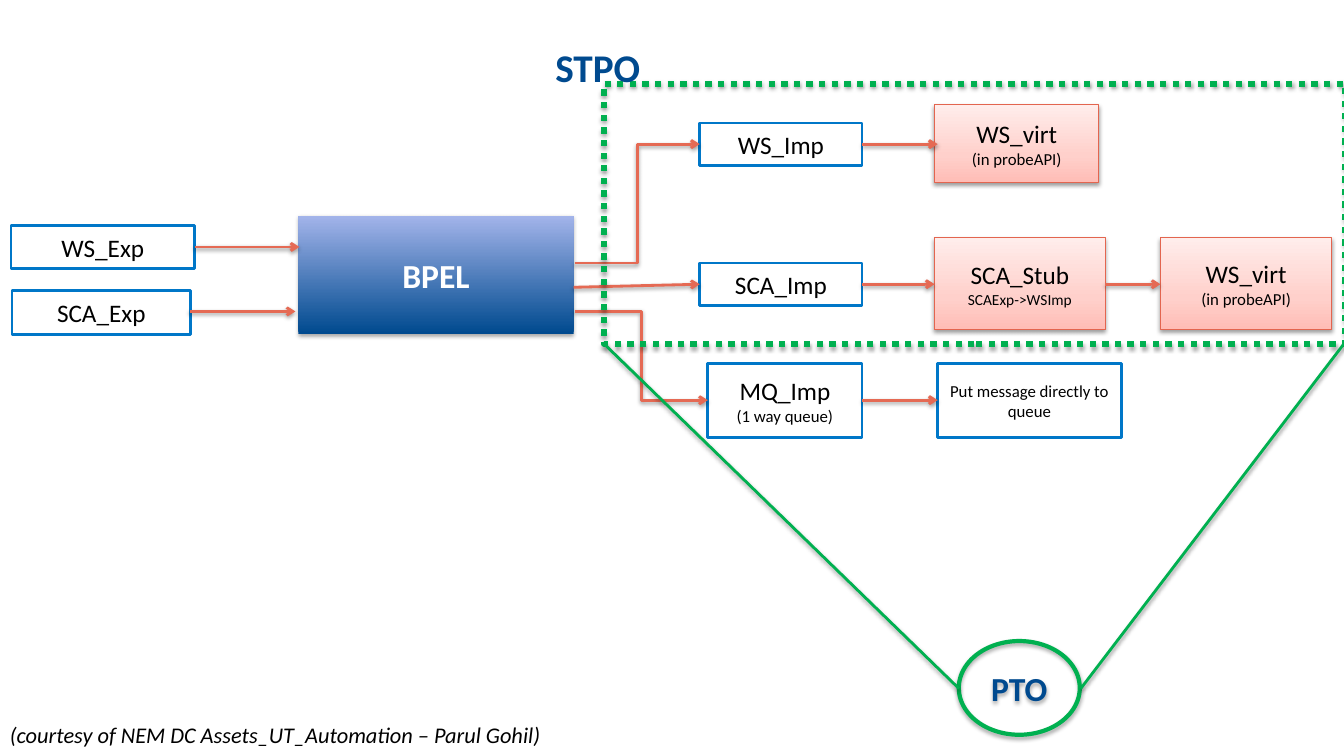
from dataclasses import dataclass

from lxml import etree
from pptx import Presentation
from pptx import util as u
from pptx.dml.color import RGBColor
from pptx.enum import dml, shapes, text
from pptx.oxml.ns import qn


@dataclass(frozen=True)
class Theme:
    font: str = "Calibri"
    black: str = "000000"
    white: str = "FFFFFF"
    navy: str = "004A8F"
    blue: str = "0077C8"
    coral: str = "E3654F"
    arrow: str = "E56A54"
    green: str = "00B050"
    pink_stops: tuple = ((0, "FFBDB6"), (35, "FFD0CB"), (100, "FFEDEB"))
    blue_stops: tuple = ((0, "004A8F"), (100, "A3B4EA"))
    title: int = 28
    heading: int = 24
    label: int = 18
    credit: int = 16
    detail: int = 12
    small: int = 11


theme = Theme()


def write(shape, *lines, color=theme.black, bold=False, italic=False,
          align=text.PP_ALIGN.CENTER, anchor=text.MSO_ANCHOR.MIDDLE):
    """Fill a shape with (words, size) lines, one paragraph each."""
    frame = shape.text_frame
    frame.word_wrap = True
    frame.vertical_anchor = anchor
    for index, (words, size) in enumerate(lines):
        paragraph = frame.add_paragraph() if index else frame.paragraphs[0]
        paragraph.alignment = align
        run = paragraph.add_run()
        run.text = words
        run.font.name = theme.font
        run.font.size = u.Pt(size)
        run.font.bold = bold
        run.font.italic = italic
        run.font.color.rgb = RGBColor.from_string(color)


def drop_shadow(item, opacity=38, distance=1.6):
    """Add a soft shadow below; call it once fill and line are set."""
    effects = etree.SubElement(item._element.spPr, qn("a:effectLst"))
    shadow = etree.SubElement(
        effects, qn("a:outerShdw"), blurRad=str(u.Pt(3.1)),
        dist=str(u.Pt(distance)), dir="5400000", rotWithShape="0")
    tint = etree.SubElement(shadow, qn("a:srgbClr"), val=theme.black)
    etree.SubElement(tint, qn("a:alpha"), val=str(opacity * 1000))


deck = Presentation()
deck.slide_width, deck.slide_height = u.Inches(13.33), u.Inches(7.5)
slide = deck.slides.add_slide(deck.slide_layouts[6])
canvas = slide.shapes

# Plain service boxes
services = [
    (0.11, 2.24, 1.82, 0.42, [("WS_Exp", theme.label)]),
    (0.12, 2.88, 1.77, 0.44, [("SCA_Exp", theme.label)]),
    (6.94, 1.22, 1.61, 0.42, [("WS_Imp", theme.label)]),
    (6.94, 2.61, 1.61, 0.42, [("SCA_Imp", theme.label)]),
    (7.02, 3.61, 1.53, 0.73,
     [("MQ_Imp", theme.label), ("(1 way queue)", theme.detail)]),
    (9.3, 3.61, 1.82, 0.73, [("Put message directly to queue", theme.detail)]),
]
for *place, lines in services:
    service = canvas.add_shape(shapes.MSO_SHAPE.RECTANGLE, *map(u.Inches, place))
    service.fill.background()
    service.line.color.rgb = RGBColor.from_string(theme.blue)
    service.line.width = u.Pt(2)
    service.shadow.inherit = False
    write(service, *lines)

# Shaded boxes: the virtual services and the central process
virtual = [("WS_virt", theme.label), ("(in probeAPI)", theme.detail)]
stub = [("SCA_Stub", theme.label), ("SCAExp->WSImp", theme.small)]
shaded = [
    (9.27, 1.04, 1.63, 0.77, virtual, theme.pink_stops),
    (9.27, 2.36, 1.69, 0.91, stub, theme.pink_stops),
    (11.51, 2.36, 1.7, 0.91, virtual, theme.pink_stops),
    (2.96, 2.14, 2.73, 1.17, [("BPEL", theme.heading)], theme.blue_stops),
]
for *place, lines, stops in shaded:
    block = canvas.add_shape(shapes.MSO_SHAPE.RECTANGLE, *map(u.Inches, place))
    block.fill.gradient()
    block.fill.gradient_angle = 90
    stop_list = block._element.spPr.find(".//" + qn("a:gsLst"))
    stop_list.clear()
    for position, shade in stops:
        stop = etree.SubElement(stop_list, qn("a:gs"), pos=str(position * 1000))
        etree.SubElement(stop, qn("a:srgbClr"), val=shade)
    if stops == theme.pink_stops:
        block.line.color.rgb = RGBColor.from_string(theme.coral)
        block.line.width = u.Pt(0.75)
        drop_shadow(block)
        write(block, *lines)
    else:
        block.line.fill.background()
        drop_shadow(block, opacity=35, distance=1.8)
        write(block, *lines, color=theme.white, bold=True)

# Message flow
straight, elbow = shapes.MSO_CONNECTOR.STRAIGHT, shapes.MSO_CONNECTOR.ELBOW
flows = [
    (elbow, 5.7, 2.61, 6.94, 1.43),
    (elbow, 5.7, 3.09, 7.02, 3.97),
    (straight, 1.93, 2.45, 2.97, 2.45),
    (straight, 1.88, 3.09, 2.93, 3.09),
    (straight, 5.69, 2.85, 6.94, 2.82),
    (straight, 8.55, 1.43, 9.3, 1.43),
    (straight, 8.55, 2.82, 9.27, 2.82),
    (straight, 8.55, 3.97, 9.3, 3.97),
    (straight, 10.96, 2.82, 11.51, 2.82),
]
for kind, *ends in flows:
    flow = canvas.add_connector(kind, *map(u.Inches, ends))
    flow.line.color.rgb = RGBColor.from_string(theme.arrow)
    flow.line.width = u.Pt(2)
    etree.SubElement(flow.line._get_or_add_ln(), qn("a:tailEnd"), type="arrow")
    drop_shadow(flow)

# Green scopes and the lines that join them
scopes = [
    (shapes.MSO_SHAPE.RECTANGLE, 5.99, 0.83, 7.35, 2.58, 4.5,
     dml.MSO_LINE.ROUND_DOT, []),
    (shapes.MSO_SHAPE.OVAL, 9.51, 6.36, 1.2, 0.93, 3, None,
     [("PTO", theme.heading)]),
]
for kind, *place, weight, dash, lines in scopes:
    scope = canvas.add_shape(kind, *map(u.Inches, place))
    scope.fill.background()
    scope.line.color.rgb = RGBColor.from_string(theme.green)
    scope.line.width = u.Pt(weight)
    scope.line.dash_style = dash
    drop_shadow(scope, opacity=35, distance=1.8)
    write(scope, *lines, color=theme.navy, bold=True)

for ends in [(9.51, 6.83, 5.99, 3.41), (13.33, 3.41, 10.72, 6.83)]:
    side = canvas.add_connector(straight, *map(u.Inches, ends))
    side.line.color.rgb = RGBColor.from_string(theme.green)
    side.line.width = u.Pt(2)
    drop_shadow(side)

# Title and credit
title = canvas.add_textbox(*map(u.Inches, (5.41, 0.38, 2.19, 0.57)))
write(title, ("STPO", theme.title), color=theme.navy, bold=True,
      align=text.PP_ALIGN.LEFT, anchor=text.MSO_ANCHOR.TOP)
credit = canvas.add_textbox(*map(u.Inches, (0, 7.11, 5.77, 0.37)))
write(credit,
      ("(courtesy of NEM DC Assets_UT_Automation – Parul Gohil)", theme.credit),
      italic=True, align=text.PP_ALIGN.LEFT, anchor=text.MSO_ANCHOR.TOP)

deck.save("out.pptx")
